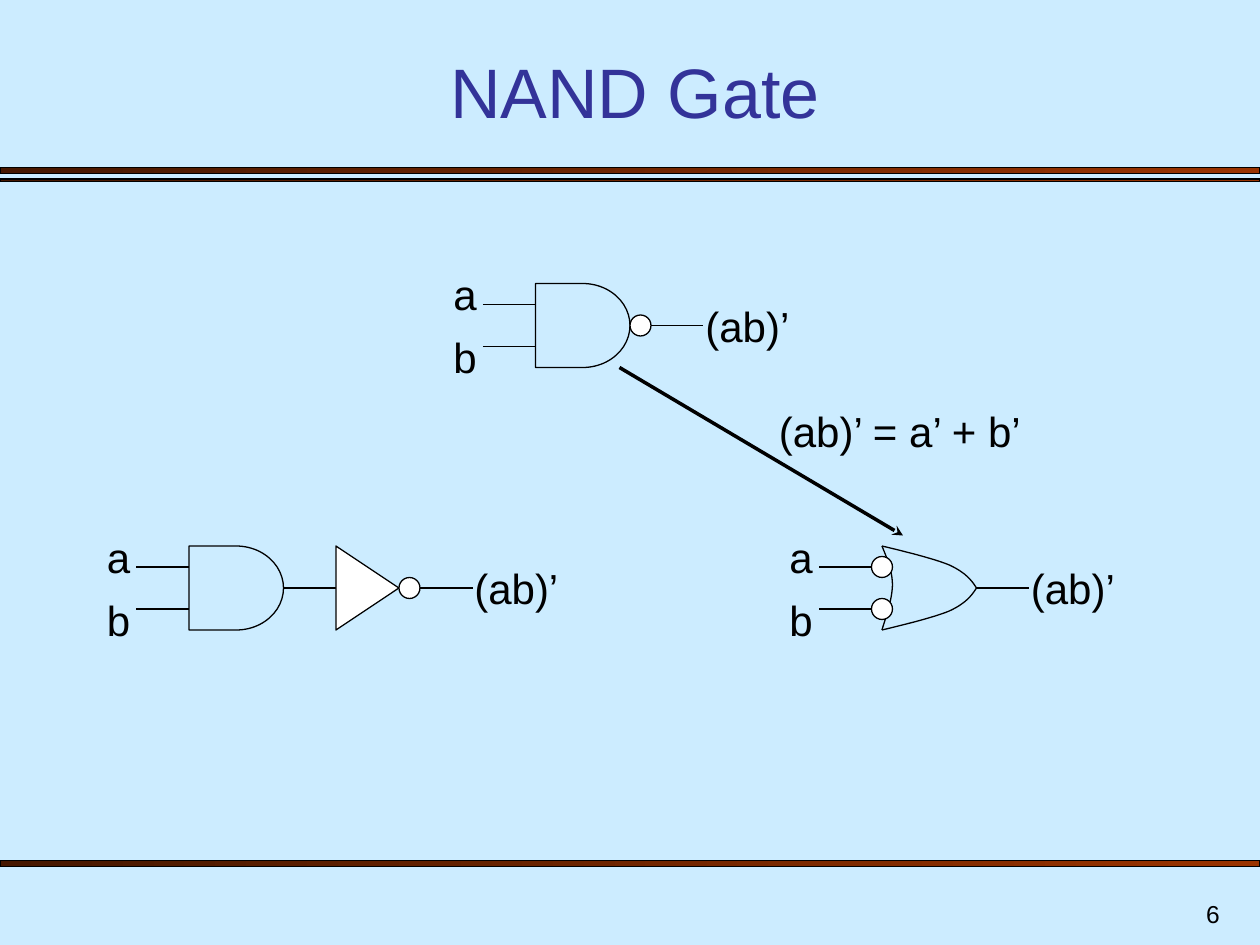
from dataclasses import dataclass
from typing import NamedTuple

from lxml import etree
from pptx import Presentation
from pptx.dml.color import RGBColor
from pptx.enum.shapes import MSO_CONNECTOR, MSO_SHAPE
from pptx.enum.text import MSO_ANCHOR, MSO_AUTO_SIZE, PP_ALIGN
from pptx.oxml.ns import qn
from pptx.util import Inches, Pt

STRAIGHT = MSO_CONNECTOR.STRAIGHT
DELAY, ELLIPSE, RECTANGLE = MSO_SHAPE.FLOWCHART_DELAY, MSO_SHAPE.OVAL, MSO_SHAPE.RECTANGLE
BOTTOM, TOP = MSO_ANCHOR.BOTTOM, MSO_ANCHOR.TOP
CENTER, LEFT, RIGHT = PP_ALIGN.CENTER, PP_ALIGN.LEFT, PP_ALIGN.RIGHT
FIT_SHAPE, NO_FIT = MSO_AUTO_SIZE.SHAPE_TO_FIT_TEXT, MSO_AUTO_SIZE.NONE
RIGHT_SITE = 3


@dataclass(frozen=True)
class Theme:
    font: str = "Arial"
    background: RGBColor = RGBColor(0xCC, 0xEC, 0xFF)
    title: RGBColor = RGBColor(0x33, 0x33, 0x99)
    ink: RGBColor = RGBColor(0, 0, 0)
    white: RGBColor = RGBColor(0xFF, 0xFF, 0xFF)
    bar_light: RGBColor = RGBColor(0x99, 0x33, 0x00)
    bar_dark: RGBColor = RGBColor(0x46, 0x17, 0x00)
    title_size: Pt = Pt(40)
    label_size: Pt = Pt(24)
    number_size: Pt = Pt(14)
    label_gap: Pt = Pt(15)
    thin: Pt = Pt(0.75)
    thick: Pt = Pt(2)


class Point(NamedTuple):
    x: float
    y: float


class Bar(NamedTuple):
    top: float
    height: float


THEME = Theme()
BARS = (Bar(1.33, 0.05), Bar(1.42, 0.02), Bar(6.83, 0.05))

# Gate geometry is measured in twelfths of an inch.
GATE_WIDTH, GATE_HALF, WIRE, BUBBLE, INPUT_OFFSET = 9, 4, 5, 2, 2
INVERTER_WIDTH = 6
NAND, AND, OR = Point(51, 31), Point(18, 56), Point(84, 56)
OR_BACK = (Point(0, -4), Point(0.5, -2.8), Point(1, -1.6), Point(1, -0.3),
           Point(1, 1.1), Point(0.25, 3.15), Point(0, 4))
OR_TOP = (Point(0, -4), Point(2.5, -3.4), Point(4.9, -2.8), Point(6.4, -2.2),
          Point(7.9, -1.5), Point(8.5, -0.8), Point(9, 0))
OR_BOTTOM = tuple(Point(point.x, -point.y) for point in OR_TOP)
CURVE_STEPS = 12


def grid(units: float) -> Inches:
    return Inches(units / 12)


def add_span(para, text: str, size: Pt, color: RGBColor) -> None:
    span = para.add_run()
    span.text = text
    span.font.name, span.font.size = THEME.font, size
    span.font.color.rgb = color


def add_text(page, text: str, left, top, width, height, size=THEME.label_size,
             align=LEFT, anchor=TOP, fit=FIT_SHAPE, gap=THEME.label_gap) -> None:
    frame = page.shapes.add_textbox(left, top, width, height).text_frame
    frame.word_wrap, frame.auto_size, frame.vertical_anchor = True, fit, anchor
    para = frame.paragraphs[0]
    para.alignment, para.space_before = align, gap
    add_span(para, text, size, THEME.ink)


def add_label(page, text: str, x: float, y: float, width: float) -> None:
    add_text(page, text, grid(x), grid(y), grid(width), grid(6))


def outline(shape, fill=None) -> None:
    shape.shadow.inherit = False
    shape.line.color.rgb, shape.line.width = THEME.ink, THEME.thin
    if fill is None:
        shape.fill.background()
    else:
        shape.fill.solid()
        shape.fill.fore_color.rgb = fill


def add_bar(page, bar: Bar, width: int) -> None:
    shape = page.shapes.add_shape(RECTANGLE, 0, Inches(bar.top), width, Inches(bar.height))
    outline(shape)
    shape.fill.gradient()
    shape.fill.gradient_angle = 180
    for stop, color in zip(shape.fill.gradient_stops, (THEME.bar_light, THEME.bar_dark)):
        stop.color.rgb = color


def add_wire(page, start: Point, end: Point, width=THEME.thin, arrow: bool = False):
    wire = page.shapes.add_connector(STRAIGHT, *map(grid, start + end))
    wire.line.color.rgb, wire.line.width = THEME.ink, width
    properties = wire._element.spPr
    if arrow:
        etree.SubElement(properties.find(qn("a:ln")), qn("a:tailEnd"), type="stealth")
    etree.SubElement(properties, qn("a:effectLst"))
    return wire


def add_bubble(page, left: float, mid: float) -> None:
    bubble = page.shapes.add_shape(ELLIPSE, grid(left), grid(mid - BUBBLE / 2),
                                   grid(BUBBLE), grid(BUBBLE))
    outline(bubble, THEME.white)


def add_inputs(page, end: float, mid: float) -> None:
    start = end - WIRE
    for y in (mid - INPUT_OFFSET, mid + INPUT_OFFSET):
        add_wire(page, Point(start, y), Point(end, y))
    for text, top in (("a", mid - 6), ("b", mid)):
        add_label(page, text, start - 4, top, 5)


def add_output(page, start: float, mid: float) -> None:
    end = start + WIRE
    add_wire(page, Point(start, mid), Point(end, mid))
    add_label(page, "(ab)’", end - 1, mid - 3, 11)


def add_and_body(page, gate: Point):
    body = page.shapes.add_shape(DELAY, grid(gate.x), grid(gate.y - GATE_HALF),
                                 grid(GATE_WIDTH), grid(2 * GATE_HALF))
    outline(body)
    add_inputs(page, gate.x, gate.y)
    return body


def bezier(points: tuple[Point, ...]) -> list[Point]:
    trace = [points[0]]
    for first in range(0, len(points) - 1, 3):
        controls = points[first:first + 4]
        for step in range(1, CURVE_STEPS + 1):
            t = step / CURVE_STEPS
            weights = ((1 - t) ** 3, 3 * t * (1 - t) ** 2, 3 * t * t * (1 - t), t ** 3)
            trace.append(Point(sum(w * c.x for w, c in zip(weights, controls)),
                               sum(w * c.y for w, c in zip(weights, controls))))
    return trace


def add_path(shapes, origin: Point, points: list[Point], close: bool, fill=None) -> None:
    corners = [(grid(origin.x + p.x), grid(origin.y + p.y)) for p in points]
    builder = shapes.build_freeform(*corners[0])
    builder.add_line_segments(corners[1:], close=close)
    outline(builder.convert_to_shape(), fill)


def add_nand(page, gate: Point) -> None:
    add_and_body(page, gate)
    tip = gate.x + GATE_WIDTH
    add_bubble(page, tip, gate.y)
    add_output(page, tip + BUBBLE, gate.y)


def add_and_inverter(page, gate: Point) -> None:
    body = add_and_body(page, gate)
    tip = gate.x + GATE_WIDTH
    inverter = Point(tip + WIRE, gate.y)
    add_wire(page, Point(tip, gate.y), inverter).begin_connect(body, RIGHT_SITE)
    triangle = [Point(0, -GATE_HALF), Point(0, GATE_HALF), Point(INVERTER_WIDTH, 0)]
    add_path(page.shapes, inverter, triangle, True, THEME.white)
    add_bubble(page, inverter.x + INVERTER_WIDTH, gate.y)
    add_output(page, inverter.x + INVERTER_WIDTH + BUBBLE, gate.y)


def add_inverted_or(page, gate: Point) -> None:
    body = page.shapes.add_group_shape()
    for curve in (OR_BACK, OR_TOP, OR_BOTTOM):
        add_path(body.shapes, gate, bezier(curve), False)
    for y in (gate.y - INPUT_OFFSET, gate.y + INPUT_OFFSET):
        add_bubble(page, gate.x - BUBBLE / 2, y)
    add_inputs(page, gate.x - BUBBLE / 2, gate.y)
    add_output(page, gate.x + GATE_WIDTH, gate.y)


def add_title(page, text: str) -> None:
    title = page.shapes.title
    title.left, title.top = Inches(0.58), Inches(0.42)
    title.width, title.height = Inches(8.92), Inches(0.68)
    frame = title.text_frame
    frame.vertical_anchor, frame.auto_size, frame.word_wrap = BOTTOM, NO_FIT, True
    frame.paragraphs[0].alignment = CENTER
    add_span(frame.paragraphs[0], text, THEME.title_size, THEME.title)


def main() -> None:
    deck = Presentation()
    deck.slide_width, deck.slide_height = Inches(10), Inches(7.5)
    page = deck.slides.add_slide(deck.slide_layouts[5])
    page.background.fill.solid()
    page.background.fill.fore_color.rgb = THEME.background
    for bar in BARS:
        add_bar(page, bar, deck.slide_width)
    add_title(page, "NAND Gate")
    add_nand(page, NAND)
    add_and_inverter(page, AND)
    add_inverted_or(page, OR)
    add_label(page, "(ab)’ = a’ + b’", 73, 38, 27)
    add_wire(page, Point(59, 35), Point(86, 51), THEME.thick, arrow=True)
    add_text(page, "6", Inches(7.7), Inches(7), Inches(2.08), Inches(0.42),
             THEME.number_size, RIGHT, BOTTOM, NO_FIT, Pt(0))
    deck.save("out.pptx")


if __name__ == "__main__":
    main()
